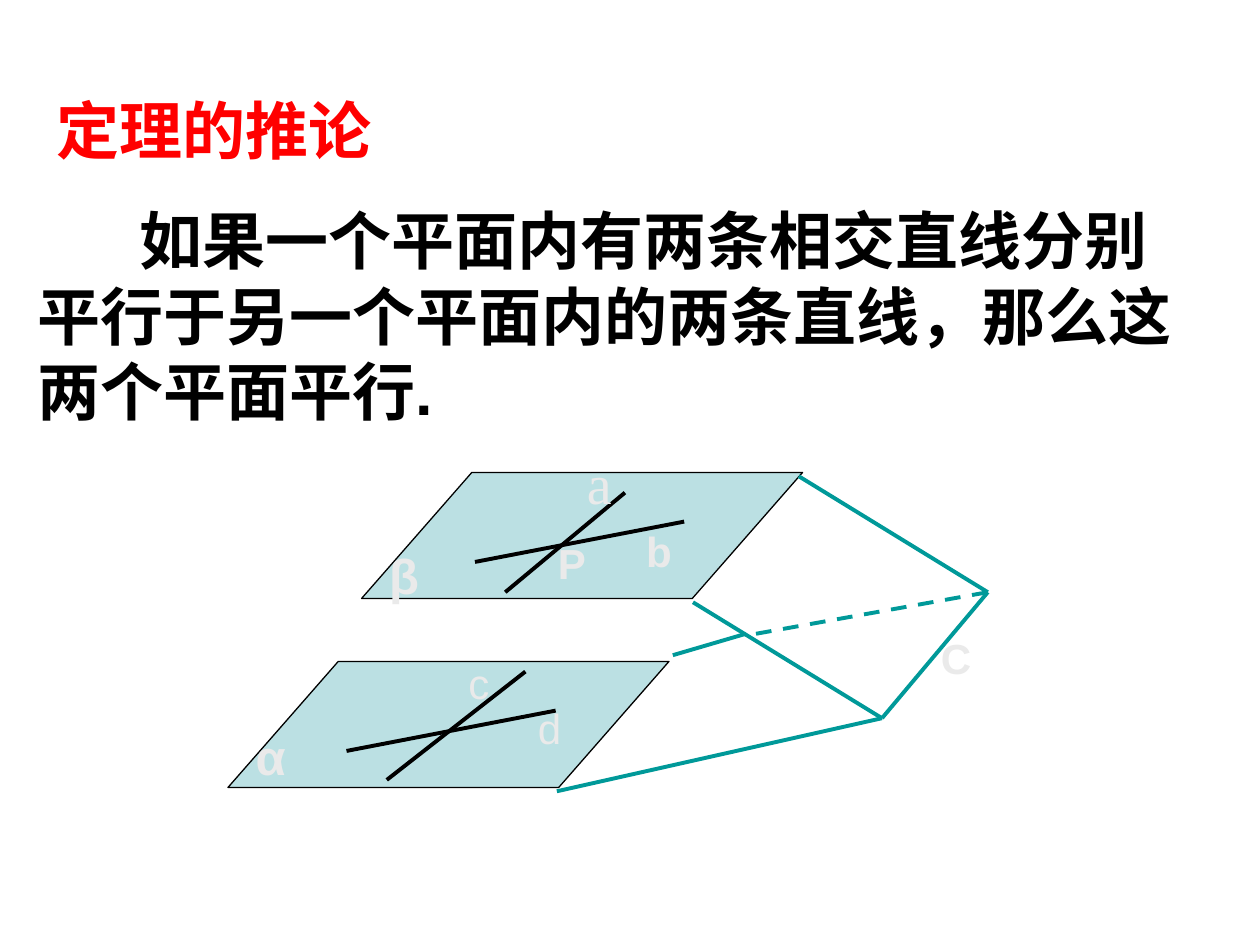
from lxml.etree import SubElement
from pptx import Presentation
from pptx.dml.color import RGBColor
from pptx.enum.dml import MSO_LINE
from pptx.enum.shapes import MSO_CONNECTOR, MSO_SHAPE
from pptx.enum.text import MSO_ANCHOR, MSO_AUTO_SIZE, PP_ALIGN
from pptx.oxml.ns import qn
from pptx.util import Inches, Pt

RED = RGBColor(0xFF, 0x00, 0x00)
BLACK = RGBColor(0x00, 0x00, 0x00)
PALE_BLUE = RGBColor(0xBB, 0xE0, 0xE3)
TEAL = RGBColor(0x00, 0x99, 0x99)
LIGHT_GRAY = RGBColor(0xEA, 0xEA, 0xEA)

deck = Presentation()
deck.slide_width, deck.slide_height = Inches(10), Inches(7.5)
COL = deck.slide_width // 100
ROW = deck.slide_height // 75
slide = deck.slides.add_slide(deck.slide_layouts[1])


def write(box, text, left, top, width, height, size=24, color=LIGHT_GRAY,
          bold=True, font="Arial", wrap=True):
    box.left, box.top = round(left * COL), round(top * ROW)
    box.width, box.height = round(width * COL), round(height * ROW)
    frame = box.text_frame
    frame.word_wrap = wrap
    frame.auto_size = MSO_AUTO_SIZE.NONE
    frame.vertical_anchor = MSO_ANCHOR.TOP
    paragraph = frame.paragraphs[0]
    paragraph.alignment = PP_ALIGN.LEFT
    paragraph.space_before = Pt(0)
    run = paragraph.add_run()
    run.text = text
    run.font.name, run.font.size, run.font.bold = font, Pt(size), bold
    run.font.color.rgb = color
    return paragraph


def draw_line(start, end, color, dash=None):
    (x1, y1), (x2, y2) = start, end
    line = slide.shapes.add_connector(
        MSO_CONNECTOR.STRAIGHT, round(x1 * COL), round(y1 * ROW),
        round(x2 * COL), round(y2 * ROW))
    line.line.color.rgb = color
    line.line.width = Pt(2.25)
    if dash:
        line.line.dash_style = dash
    SubElement(line._element.spPr, qn("a:effectLst"))


write(slide.shapes.title, "定理的推论", 3.5, 6.8, 37, 7, size=36, color=RED)
corollary = write(
    slide.placeholders[1],
    "如果一个平面内有两条相交直线分别平行于另一个平面内的两条直线，那么这两个平面平行.",
    2, 15.5, 94.9, 19, size=36, color=BLACK)
corollary_format = corollary._p.get_or_add_pPr()
corollary_format.set("marL", "0")
corollary_format.set("indent", str(round(8.1 * COL)))
SubElement(corollary_format, qn("a:buNone"))

for left, top in [(18.1, 52.5), (28.7, 37.5)]:
    plane = slide.shapes.add_shape(
        MSO_SHAPE.PARALLELOGRAM, round(left * COL), round(top * ROW), 35 * COL, 10 * ROW)
    plane.adjustments[0] = 0.875
    plane.shadow.inherit = False
    plane.fill.solid()
    plane.fill.fore_color.rgb = PALE_BLUE
    plane.line.color.rgb = BLACK
    plane.line.width = Pt(0.75)

for start, end in [((40.1, 47), (49.6, 39.1)), ((37.7, 44.6), (54.3, 41.4)),
                   ((30.7, 61.9), (41.7, 53.3)), ((27.5, 59.6), (44.1, 56.4))]:
    draw_line(start, end, BLACK)

far_corner, near_corner = (78.4, 47), (70, 57)
for start, end, dash in [
    ((63.4, 37.8), far_corner, None),
    ((55, 47.8), near_corner, None),
    ((44.2, 62.8), near_corner, None),
    ((60, 50.3), far_corner, MSO_LINE.DASH),
    (far_corner, near_corner, None),
    ((53.4, 52), (59.2, 50.3), None),
]:
    draw_line(start, end, TEAL, dash)

for text, left, top, width, height, style in [
    ("α", 19.3, 57.2, 5.9, 5.7, {"size": 28}),
    ("β", 29.9, 42.8, 4.3, 5.7, {"size": 28, "wrap": False}),
    ("a", 45.6, 35.1, 4, 6.4,
     {"size": 32, "bold": False, "font": "Times New Roman", "wrap": False}),
    ("b", 50.3, 41.2, 8.7, 5, {}),
    ("P", 43.3, 42.2, 7.1, 5, {}),
    ("c", 36.2, 51.7, 4.7, 5, {"bold": False}),
    ("d", 41.7, 55.3, 9.4, 5, {"bold": False}),
    ("C", 73.7, 49.7, 4.4, 5, {"wrap": False}),
]:
    write(slide.shapes.add_textbox(0, 0, 0, 0), text, left, top, width, height, **style)

deck.save("out.pptx")
